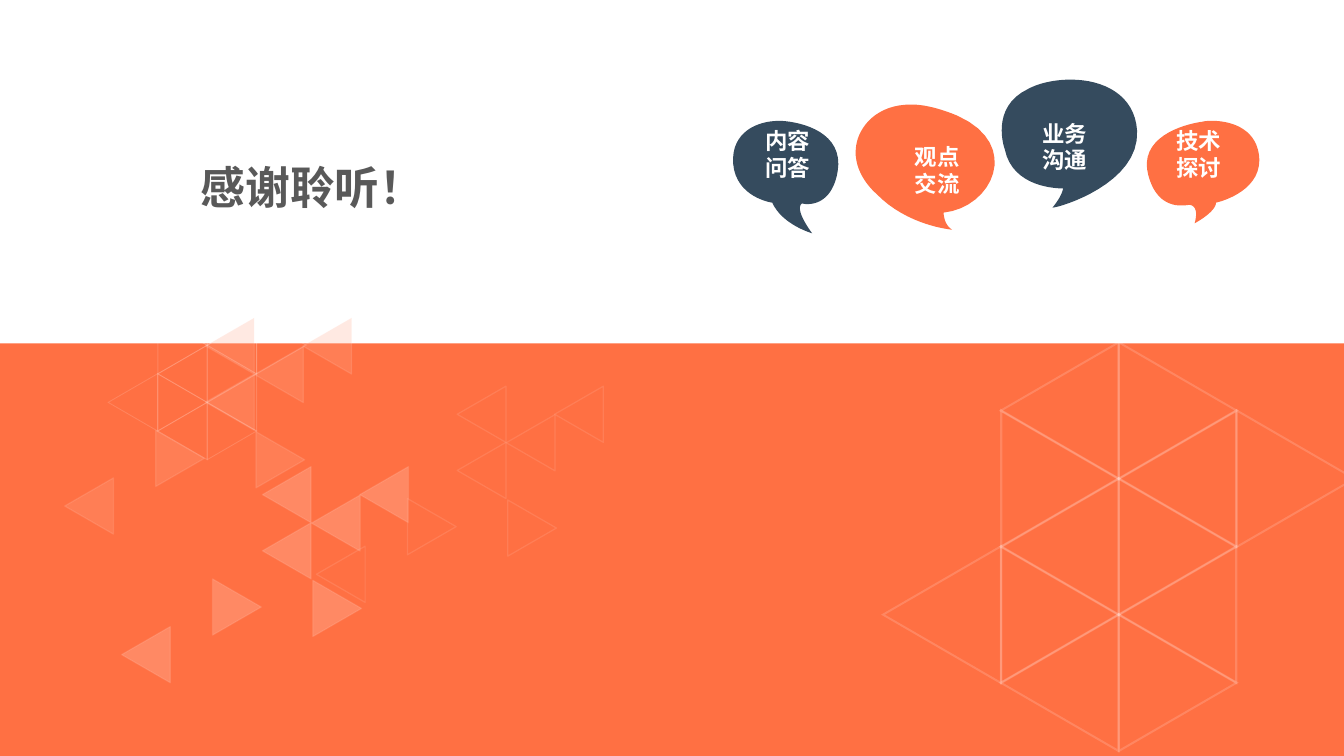
from lxml import etree
from pptx import Presentation
from pptx.dml.color import RGBColor
from pptx.enum.shapes import MSO_SHAPE
from pptx.enum.text import MSO_ANCHOR, PP_ALIGN
from pptx.oxml.ns import qn
from pptx.util import Inches, Pt

RECTANGLE = MSO_SHAPE.RECTANGLE
TOP, MIDDLE = MSO_ANCHOR.TOP, MSO_ANCHOR.MIDDLE
CENTER, LEFT = PP_ALIGN.CENTER, PP_ALIGN.LEFT

WHITE = RGBColor(0xFF, 0xFF, 0xFF)
ORANGE = RGBColor(0xFF, 0x70, 0x43)
PEACH = RGBColor(0xFF, 0xA9, 0x8E)
NAVY = RGBColor(0x35, 0x4B, 0x5E)
GRAY = RGBColor(0x59, 0x59, 0x59)

LATIN_FONT, CJK_FONT = "Arial", "Noto Sans CJK SC"
CURVE_STEPS = 16

# (column, row) of each triangle in a lattice of outlines
LATTICE_LEFT = [(1, 0), (2, 1), (1, 2), (0, 3), (2, 3), (1, 4)]
LATTICE_RIGHT = [(2, 0), (1, 1), (3, 1), (2, 2), (1, 3), (2, 4)]
# left, top, scale, opacity
LATTICES = [(12.39, 4.79, 1, 16), (1.51, 4.04, 0.42, 15)]

# left, top of each triangle in a cluster
CLUSTER_LEFT = [(0, 2.25), (1.98, 0), (2.67, 0.4), (3.35, 0), (1.98, 0.79)]
CLUSTER_RIGHT = [(1.28, 1.58), (2.69, 1.6)]
# left, top, colour, opacity
CLUSTERS = [(0.91, 4.47, PEACH, 25), (1.71, 6.56, PEACH, 45), (4.45, 5.43, ORANGE, 25)]

# words, colour, anchor, text centre, start of the outline, Bézier curves
BUBBLES = [
    ("内容\n问答", NAVY, TOP, 11.08, (10.95, 1.7), [
        (10.66, 1.7, 10.28, 1.85, 10.31, 2.3), (10.35, 2.78, 10.86, 2.85, 10.86, 2.85),
        (11, 3.16, 11.42, 3.28, 11.42, 3.28), (11.15, 2.91, 11.28, 2.86, 11.28, 2.86),
        (11.28, 2.86, 11.31, 2.87, 11.35, 2.87), (11.47, 2.87, 11.71, 2.82, 11.78, 2.41),
        (11.87, 1.86, 11.28, 1.72, 11, 1.7), (10.98, 1.7, 10.96, 1.7, 10.95, 1.7)]),
    ("业务\n沟通", NAVY, MIDDLE, 14.97, (15.06, 1.12), [
        (14.85, 1.12, 14.63, 1.16, 14.46, 1.25), (13.91, 1.51, 14.13, 2.1, 14.13, 2.1),
        (14.24, 2.64, 14.87, 2.65, 14.95, 2.65), (14.93, 2.77, 14.8, 2.92, 14.8, 2.92),
        (14.9, 2.92, 16.03, 2.58, 15.99, 1.84), (15.96, 1.33, 15.51, 1.12, 15.06, 1.12)]),
    ("技术\n探讨", ORANGE, TOP, 16.86, (17.05, 1.7), [
        (17, 1.7, 16.96, 1.7, 16.92, 1.71), (16.62, 1.75, 16, 1.94, 16.15, 2.47),
        (16.25, 2.84, 16.48, 2.89, 16.61, 2.89), (16.68, 2.89, 16.72, 2.88, 16.72, 2.88),
        (16.74, 2.88, 16.87, 2.89, 16.8, 3.14), (16.8, 3.14, 17.1, 2.98, 17.1, 2.85),
        (17.1, 2.85, 17.71, 2.72, 17.71, 2.25), (17.7, 1.83, 17.34, 1.7, 17.05, 1.7)]),
    ("观点\n交流", ORANGE, MIDDLE, 13.18, (12.81, 1.47), [
        (12.33, 1.47, 12.08, 1.78, 12.04, 2.05), (11.98, 2.44, 12.32, 2.72, 12.32, 2.72),
        (12.76, 3.18, 13.39, 3.23, 13.39, 3.23), (13.27, 3.16, 13.27, 2.99, 13.27, 2.99),
        (13.95, 2.92, 14.38, 2.04, 13.47, 1.63), (13.21, 1.52, 12.99, 1.47, 12.81, 1.47)]),
]


def set_fill(fill, color, opacity=100):
    fill.solid()
    fill.fore_color.rgb = color
    if opacity < 100:
        srgb = fill._xPr.find(qn("a:solidFill")).find(qn("a:srgbClr"))
        etree.SubElement(srgb, qn("a:alpha")).set("val", str(opacity * 1000))


def add_outline(slide, contours, color, opacity=100):
    """Add one filled shape made of closed contours given in inches."""
    contours = [[(Inches(x), Inches(y)) for x, y in contour] for contour in contours]
    builder = slide.shapes.build_freeform(*contours[0][0], scale=1.0)
    for index, contour in enumerate(contours):
        if index:
            builder.move_to(*contour[0])
        builder.add_line_segments(contour[1:], close=True)
    shape = builder.convert_to_shape()
    shape.shadow.inherit = False
    set_fill(shape.fill, color, opacity)
    shape.line.fill.background()
    return shape


def triangle(left, top, width, height, points_left):
    tip, base = (left, left + width) if points_left else (left + width, left)
    return [(tip, top + height / 2), (base, top + height), (base, top)]


def add_lattice(slide, left, top, scale, opacity):
    for cells, points_left in ((LATTICE_LEFT, True), (LATTICE_RIGHT, False)):
        for column, row in cells:
            x = left + scale * (1.655 * column + (0 if points_left else 0.02))
            y = top + scale * 0.956 * row
            outer = triangle(x, y, 1.7 * scale, 1.97 * scale, points_left)
            inset = (0.055 if points_left else 0.03) * scale
            inner = triangle(x + inset, y + 0.05 * scale, 1.615 * scale,
                             1.87 * scale, points_left)
            add_outline(slide, [outer, inner[::-1]], WHITE, opacity)


def add_cluster(slide, left, top, color, opacity):
    for offsets, points_left in ((CLUSTER_LEFT, True), (CLUSTER_RIGHT, False)):
        for dx, dy in offsets:
            corners = triangle(left + dx, top + dy, 0.685, 0.79, points_left)
            shape = add_outline(slide, [corners], color, opacity)
            shape.line.width = Pt(1.25)
            set_fill(shape.line.fill, WHITE, 10)


def flatten(start, curves):
    """Return points along a chain of cubic Bézier curves."""
    points = [start]
    for x1, y1, x2, y2, x3, y3 in curves:
        x0, y0 = points[-1]
        for step in range(1, CURVE_STEPS + 1):
            t = step / CURVE_STEPS
            weights = ((1 - t) ** 3, 3 * t * (1 - t) ** 2, 3 * t * t * (1 - t), t ** 3)
            points.append(tuple(sum(w * v for w, v in zip(weights, values))
                                for values in ((x0, x1, x2, x3), (y0, y1, y2, y3))))
    return points


def write(frame, words, size, color, latin, align, spacing):
    frame.text = words
    for paragraph in frame.paragraphs:
        paragraph.alignment = align
        paragraph.line_spacing = spacing
        for run in paragraph.runs:
            run.font.name = latin
            run.font.size = Pt(size)
            run.font.bold = True
            run.font.color.rgb = color
            east_asian = etree.SubElement(run.font._element, qn("a:ea"))
            east_asian.set("typeface", CJK_FONT)


def add_bubble(slide, words, color, anchor, text_center, start, curves):
    bubble = add_outline(slide, [flatten(start, curves)], color)
    shift = Inches(text_center) - (bubble.left + bubble.width // 2)
    frame = bubble.text_frame
    frame.word_wrap = True
    frame.vertical_anchor = anchor
    frame.margin_left, frame.margin_right = max(2 * shift, 0), max(-2 * shift, 0)
    frame.margin_top, frame.margin_bottom = Inches(0.08), 0
    write(frame, words, 22.7, WHITE, CJK_FONT, CENTER, Pt(27.3))


def add_title(slide):
    box = slide.shapes.add_textbox(Inches(2.72), Inches(2.16), Inches(5.62), Inches(1.02))
    frame = box.text_frame
    frame.word_wrap = True
    frame.vertical_anchor = MIDDLE
    write(frame, "感谢聆听！", 45.4, GRAY, LATIN_FONT, LEFT, 0.9)


def add_band(slide):
    band = slide.shapes.add_shape(RECTANGLE, 0, Inches(4.83), Inches(18.9), Inches(5.8))
    band.shadow.inherit = False
    set_fill(band.fill, ORANGE)
    band.line.fill.background()


def main():
    deck = Presentation()
    deck.slide_width, deck.slide_height = Inches(18.9), Inches(10.63)
    slide = deck.slides.add_slide(deck.slide_layouts[6])
    add_band(slide)
    for lattice in LATTICES:
        add_lattice(slide, *lattice)
    for cluster in CLUSTERS:
        add_cluster(slide, *cluster)
    for bubble in BUBBLES:
        add_bubble(slide, *bubble)
    add_title(slide)
    deck.save("out.pptx")


if __name__ == "__main__":
    main()
